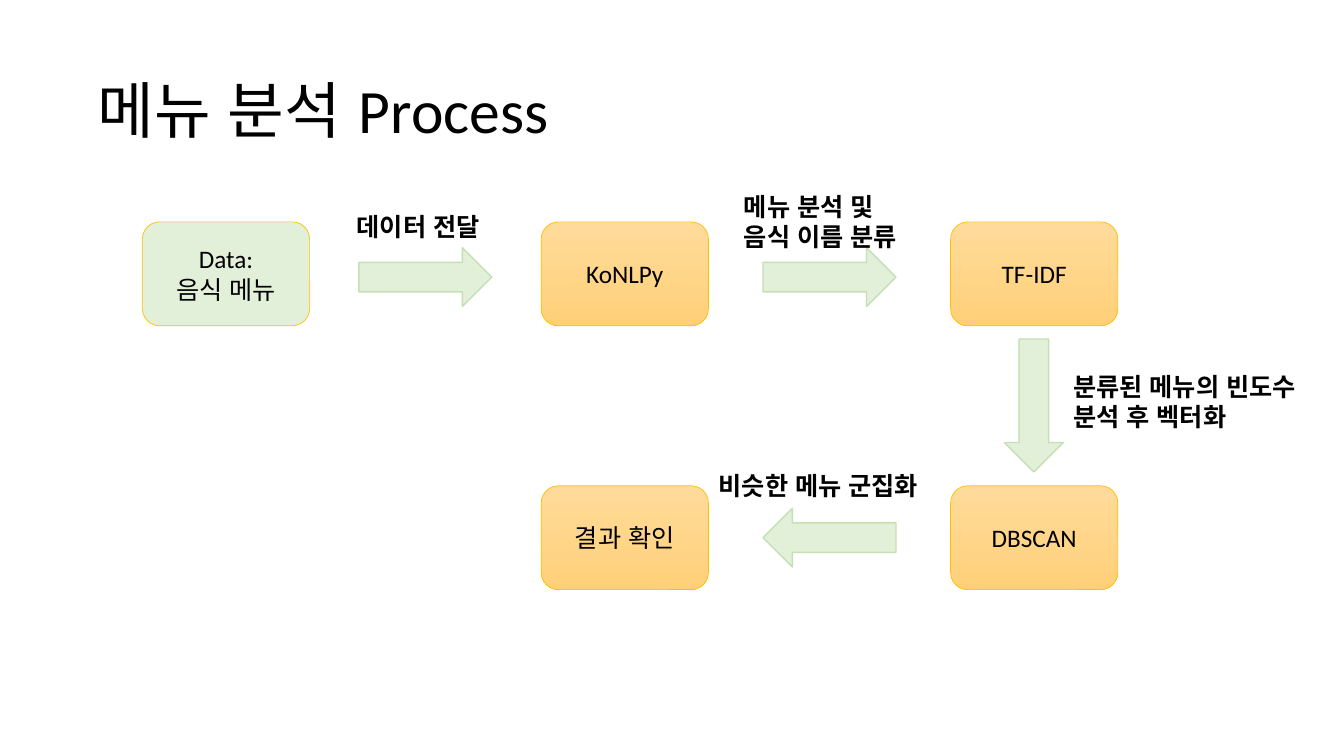
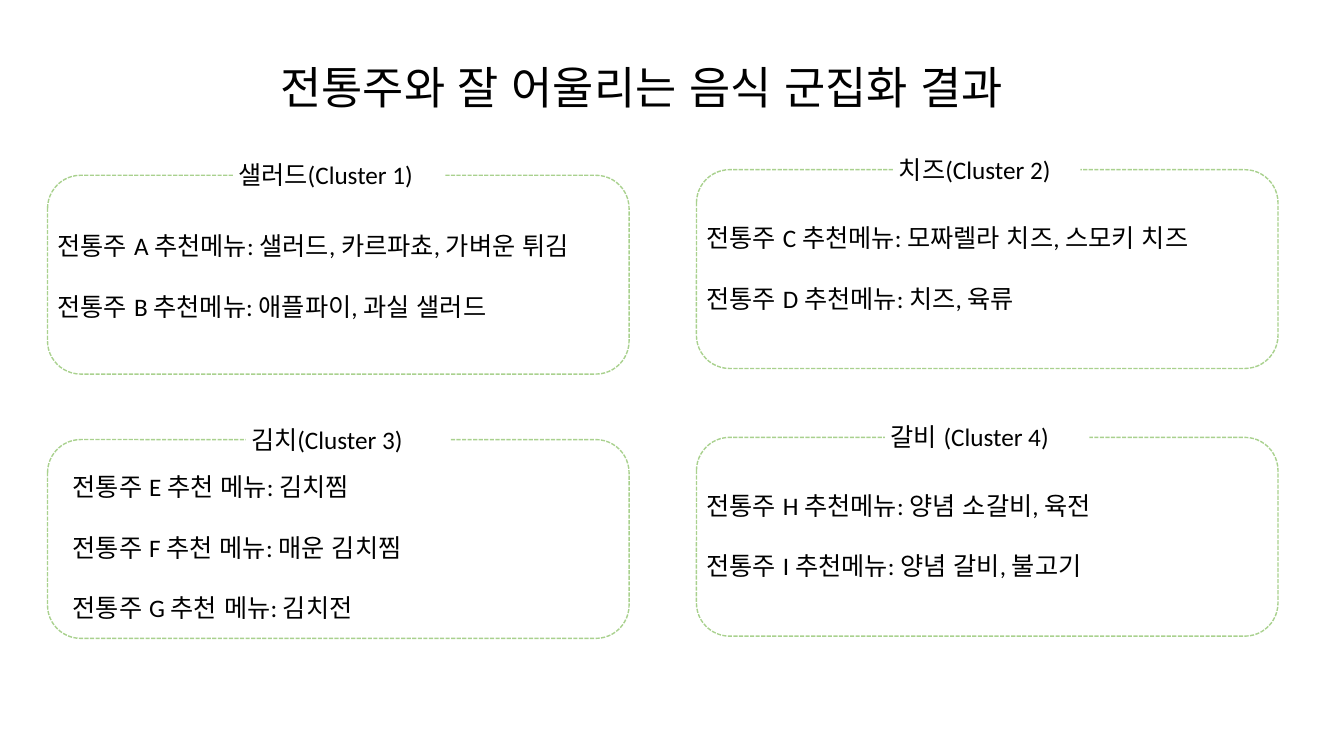
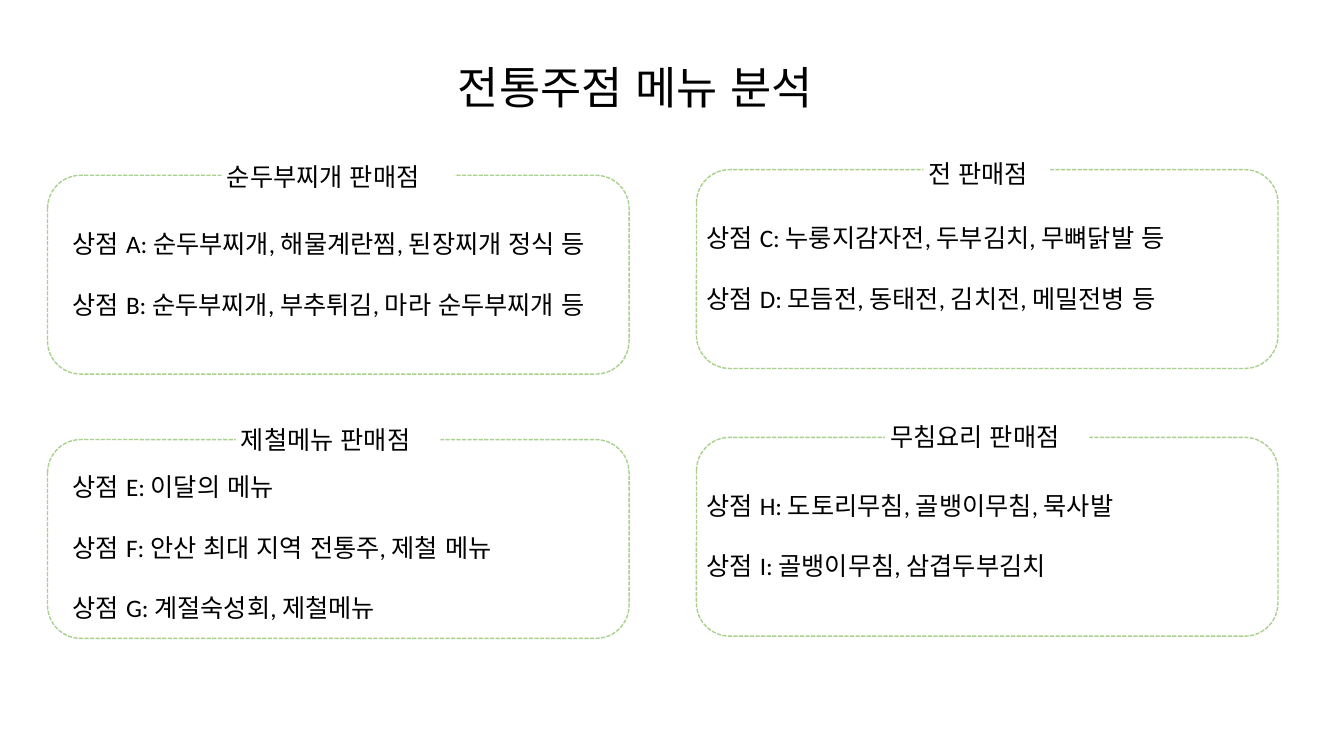
from dataclasses import dataclass

from lxml import etree
from pptx import Presentation
from pptx.dml import color
from pptx.enum import dml, shapes, text
from pptx.oxml import ns
from pptx.util import Pt

LATIN_FONT, KOREAN_FONT = "Calibri", "Arial"
BLACK, WHITE = "000000", "FFFFFF"
PALE_GREEN, ARROW_EDGE, PANEL_EDGE = "E2F0D9", "C5E0B4", "A9D18E"
ORANGE_TOP, ORANGE_BOTTOM, ORANGE_EDGE = "FFDB9B", "FFD078", "FFC000"
INSET = 3.6
LIST_GAP = 21.6

PANEL_SIZE = (415.4, 142)
PANEL_CORNERS = [(34, 125.2), (497.5, 121.2), (34, 314), (497.5, 312.4)]


@dataclass
class Panel:
    """One outlined group; label and list boxes are relative to the outline."""
    label: str
    label_box: tuple
    items: list
    list_offset: tuple


def rgb(value):
    return color.RGBColor.from_string(value)


def place(box):
    return [Pt(length) for length in box]


def style_paragraph(paragraph, size, bold=False, align=text.PP_ALIGN.LEFT):
    paragraph.alignment = align
    font = paragraph.font
    font.size, font.bold = Pt(size), bold
    font.color.rgb = rgb(BLACK)
    font.name = LATIN_FONT
    east_asian = etree.SubElement(font._element, ns.qn("a:ea"))
    east_asian.set("typeface", KOREAN_FONT)


def write(shape, lines, size=18, anchor=text.MSO_ANCHOR.TOP, gap=0, **style):
    """Fill a shape with one paragraph per line, separated by gap."""
    frame = shape.text_frame
    frame.word_wrap = True
    frame.vertical_anchor = anchor
    frame.margin_left = frame.margin_right = Pt(INSET)
    frame.margin_top = frame.margin_bottom = Pt(INSET)
    for index, line in enumerate(lines):
        paragraph = frame.add_paragraph() if index else frame.paragraphs[0]
        paragraph.text = line
        if index:
            paragraph.space_before = Pt(gap)
        style_paragraph(paragraph, size, **style)


def add_shape(slide, kind, box, fill=None, edge=None, width=1):
    shape = slide.shapes.add_shape(kind, *place(box))
    shape.shadow.inherit = False
    if fill:
        shape.fill.solid()
        shape.fill.fore_color.rgb = rgb(fill)
    else:
        shape.fill.background()
    if edge:
        shape.line.color.rgb = rgb(edge)
        shape.line.width = Pt(width)
    else:
        shape.line.fill.background()
    return shape


def add_titled_slide(presentation, title, box, size, align):
    slide = presentation.slides.add_slide(presentation.slide_layouts[5])
    shape = slide.shapes.title
    shape.left, shape.top, shape.width, shape.height = place(box)
    write(shape, [title], size, text.MSO_ANCHOR.MIDDLE, align=align)
    shape.text_frame.paragraphs[0].line_spacing = 0.9
    return slide


def add_step(slide, box, label, is_input=False):
    step = add_shape(slide, shapes.MSO_SHAPE.ROUNDED_RECTANGLE, box,
                     PALE_GREEN, ORANGE_EDGE, 0.5)
    if not is_input:
        step.fill.gradient()
        step.fill.gradient_angle = 270
        for stop, value in zip(step.fill.gradient_stops,
                               (ORANGE_TOP, ORANGE_BOTTOM)):
            stop.color.rgb = rgb(value)
    write(step, [label], anchor=text.MSO_ANCHOR.MIDDLE,
          align=text.PP_ALIGN.CENTER)


def add_flow_arrow(slide, corner, rotation, label, label_box):
    arrow = add_shape(slide, shapes.MSO_SHAPE.RIGHT_ARROW, (*corner, 95, 42),
                      PALE_GREEN, ARROW_EDGE)
    arrow.rotation = rotation
    write(slide.shapes.add_textbox(*place(label_box)), [label], bold=True)


def add_process_slide(presentation):
    slide = add_titled_slide(presentation, "메뉴 분석 Process",
                             (66, 28.8, 828, 104.4), 44, text.PP_ALIGN.LEFT)
    columns, rows = (101.7, 386.6, 679), (158.5, 347)
    steps = [(0, 0, "Data:\n음식 메뉴"), (1, 0, "KoNLPy"), (2, 0, "TF-IDF"),
             (2, 1, "DBSCAN"), (1, 1, "결과 확인")]
    for column, row, label in steps:
        add_step(slide, (columns[column], rows[row], 119.5, 74.2), label,
                 is_input=column == 0)
    arrows = [
        ((256.3, 177), 0, "데이터 전달", (251.3, 147.6, 112.3, 30)),
        ((545, 177), 0, "메뉴 분석 및\n음식 이름 분류",
         (527.8, 133.2, 140.4, 54)),
        ((691, 268.6), 90, "분류된 메뉴의 빈도수 분석 후 벡터화",
         (763, 261.4, 193, 54)),
        ((545, 363), 180, "비슷한 메뉴 군집화", (509.8, 332.6, 172, 30)),
    ]
    for arrow in arrows:
        add_flow_arrow(slide, *arrow)


def add_panel_outline(slide, corner):
    outline = add_shape(slide, shapes.MSO_SHAPE.ROUNDED_RECTANGLE,
                        (*corner, *PANEL_SIZE), edge=PANEL_EDGE)
    outline.line.dash_style = dml.MSO_LINE.SQUARE_DOT


def add_panel_text(slide, corner, panel):
    left, top = corner
    x, y, width, height = panel.label_box
    label = add_shape(slide, shapes.MSO_SHAPE.RECTANGLE,
                      (left + x, top + y, width, height), WHITE)
    write(label, [panel.label])
    x, y = panel.list_offset
    height = 37 + 43 * (len(panel.items) - 1)
    items = slide.shapes.add_textbox(
        *place((left + x, top + y, 421.2, height)))
    write(items, panel.items, gap=LIST_GAP)


def add_panel_slide(presentation, title, panels):
    slide = add_titled_slide(presentation, title, (44.6, 12.2, 828, 104.4),
                             32, text.PP_ALIGN.CENTER)
    for corner in PANEL_CORNERS:
        add_panel_outline(slide, corner)
    for corner, panel in zip(PANEL_CORNERS, panels):
        add_panel_text(slide, corner, panel)


CLUSTERS = [
    Panel("샐러드(Cluster 1)", (132.5, -15, 150.5, 28),
          ["전통주 A 추천메뉴: 샐러드, 카르파쵸, 가벼운 튀김",
           "전통주 B 추천메뉴: 애플파이, 과실 샐러드"], (3.5, 36)),
    Panel("치즈(Cluster 2)", (141, -14.6, 133.2, 28),
          ["전통주 C 추천메뉴: 모짜렐라 치즈, 스모키 치즈",
           "전통주 D 추천메뉴: 치즈, 육류"], (3.5, 34.4)),
    Panel("김치(Cluster 3)", (141.7, -14.5, 146, 28),
          ["전통주 E 추천 메뉴: 김치찜",
           "전통주 F 추천 메뉴: 매운 김치찜",
           "전통주 G 추천 메뉴: 김치전"], (14.3, 19.4)),
    Panel("갈비 (Cluster 4)", (134.7, -15, 146, 28),
          ["전통주 H 추천메뉴: 양념 소갈비, 육전",
           "전통주 I 추천메뉴: 양념 갈비, 불고기"], (3.5, 34)),
]

SHOPS = [
    Panel("순두부찌개 판매점", (124.5, -13.6, 166.3, 30),
          ["상점 A: 순두부찌개, 해물계란찜, 된장찌개 정식 등",
           "상점 B: 순두부찌개, 부추튀김, 마라 순두부찌개 등"], (14.3, 34.6)),
    Panel("전 판매점", (162, -11.8, 90.7, 30),
          ["상점 C: 누룽지감자전, 두부김치, 무뼈닭발 등",
           "상점 D: 모듬전, 동태전, 김치전, 메밀전병 등"], (3.5, 34.4)),
    Panel("제철메뉴 판매점", (134.5, -14.5, 146, 30),
          ["상점 E: 이달의 메뉴",
           "상점 F: 안산 최대 지역 전통주, 제철 메뉴",
           "상점 G: 계절숙성회, 제철메뉴"], (14.3, 19.4)),
    Panel("무침요리 판매점", (134.7, -15, 146, 30),
          ["상점 H: 도토리무침, 골뱅이무침, 묵사발",
           "상점 I: 골뱅이무침, 삼겹두부김치"], (3.5, 34)),
]


def main():
    presentation = Presentation()
    presentation.slide_width, presentation.slide_height = Pt(960), Pt(540)
    add_process_slide(presentation)
    add_panel_slide(presentation, "전통주와 잘 어울리는 음식 군집화 결과",
                    CLUSTERS)
    add_panel_slide(presentation, "전통주점 메뉴 분석 ", SHOPS)
    presentation.save("out.pptx")


if __name__ == "__main__":
    main()
